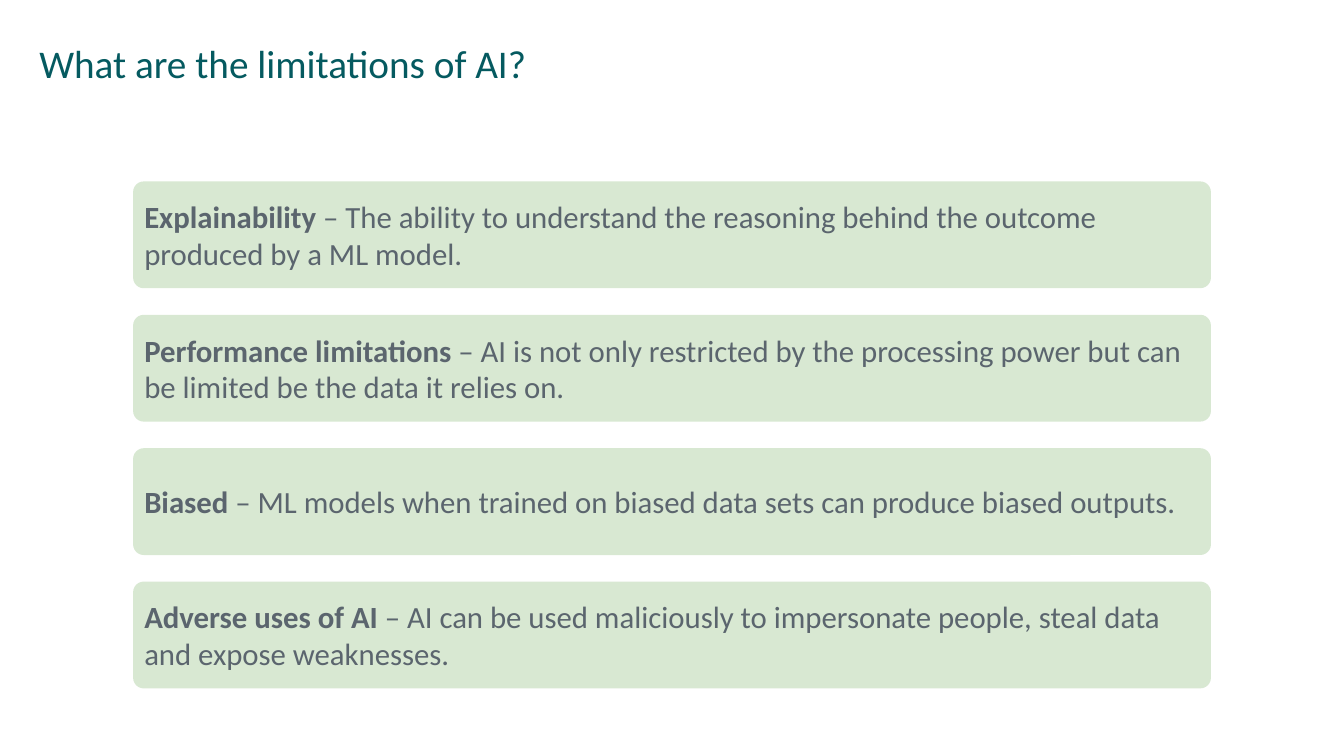
from dataclasses import dataclass

from pptx import Presentation
from pptx.dml.color import RGBColor
from pptx.enum.shapes import MSO_SHAPE
from pptx.enum.text import MSO_ANCHOR, MSO_AUTO_SIZE, PP_ALIGN
from pptx.util import Pt

PX = 9144  # EMU per px, 100 px to the inch


@dataclass(frozen=True)
class Theme:
    font: str = "Calibri"
    heading: RGBColor = RGBColor(0x05, 0x5A, 0x60)
    body: RGBColor = RGBColor(0x5B, 0x65, 0x6E)
    card: RGBColor = RGBColor(0xD8, 0xE8, 0xD2)
    heading_size: int = 28
    body_size: int = 22


THEME = Theme()

LIMITATIONS = [
    ("Explainability", " – The ability to understand the reasoning behind the outcome produced by a ML model."),
    ("Performance limitations", " – AI is not only restricted by the processing power but can be limited be the data it relies on."),
    ("Biased", " – ML models when trained on biased data sets can produce biased outputs."),
    ("Adverse uses of AI", " – AI can be used maliciously to impersonate people, steal data and expose weaknesses."),
]


def px(length):
    return round(length * PX)


def apply(target, formats):
    for attribute, value in formats.items():
        setattr(target, attribute, value)


def set_frame(frame, anchor, side, vertical):
    apply(frame, {
        "word_wrap": True,
        "auto_size": MSO_AUTO_SIZE.NONE,
        "vertical_anchor": anchor,
        "margin_left": px(side),
        "margin_right": px(side),
        "margin_top": px(vertical),
        "margin_bottom": px(vertical),
    })


def add_words(paragraph, words, size, color, bold=False):
    run = paragraph.add_run()
    run.text = words
    apply(run.font, {"name": THEME.font, "size": Pt(size), "bold": bold})
    run.font.color.rgb = color


def place_heading(slide, words, left, top, width, height):
    heading = slide.shapes.title
    apply(heading, {"left": px(left), "top": px(top),
                    "width": px(width), "height": px(height)})
    set_frame(heading.text_frame, MSO_ANCHOR.TOP, side=0, vertical=5)
    line = heading.text_frame.paragraphs[0]
    apply(line, {"alignment": PP_ALIGN.LEFT, "line_spacing": 0.9})
    add_words(line, words, THEME.heading_size, THEME.heading)


def add_card(slide, term, explanation, left, top, width, height):
    card = slide.shapes.add_shape(
        MSO_SHAPE.ROUNDED_RECTANGLE, px(left), px(top), px(width), px(height))
    card.adjustments[0] = 0.1
    card.shadow.inherit = False
    card.fill.solid()
    card.fill.fore_color.rgb = THEME.card
    card.line.fill.background()
    set_frame(card.text_frame, MSO_ANCHOR.MIDDLE, side=8, vertical=8)
    sentence = card.text_frame.paragraphs[0]
    sentence.alignment = PP_ALIGN.LEFT
    add_words(sentence, term, THEME.body_size, THEME.body, bold=True)
    add_words(sentence, explanation, THEME.body_size, THEME.body)


def place_limitations(slide, limitations, left, top, width, height):
    # Equal cards spread from the top to the bottom of the box
    card_height = 106
    pitch = (height - card_height) / (len(limitations) - 1)
    for row, (term, explanation) in enumerate(limitations):
        add_card(slide, term, explanation,
                 left, top + row * pitch, width, card_height)


def main():
    deck = Presentation()
    apply(deck, {"slide_width": px(1333), "slide_height": px(750)})
    slide = deck.slides.add_slide(deck.slide_layouts.get_by_name("Title Only"))

    # Heading
    place_heading(slide, "What are the limitations of AI?", 39, 39, 1255, 95)

    # Stack of limitation cards
    place_limitations(slide, LIMITATIONS, 132, 180, 1069, 503)

    deck.save("out.pptx")


if __name__ == "__main__":
    main()
